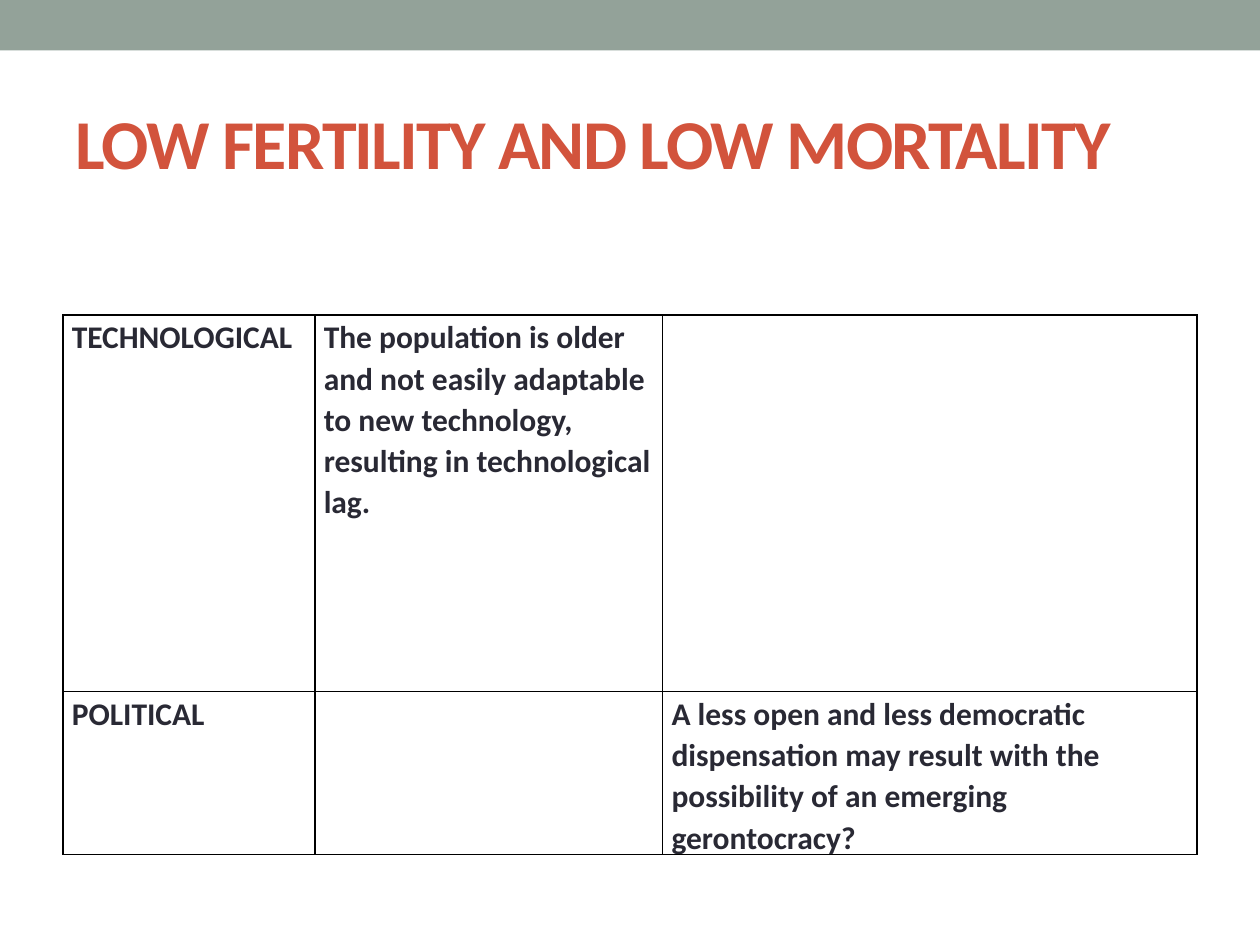
from lxml import etree
from pptx import Presentation
from pptx.dml.color import RGBColor
from pptx.enum.shapes import MSO_SHAPE as Shape
from pptx.enum.text import MSO_ANCHOR as Anchor
from pptx.oxml.ns import qn
from pptx.util import Inches, Pt

SAGE = RGBColor(0x93, 0xA2, 0x99)
RUST = RGBColor(0xD2, 0x53, 0x3C)
INK = RGBColor(0x29, 0x29, 0x34)
BORDER = "000000"

COLUMN_WIDTHS = [2, 2.76, 4.24]
ROW_HEIGHTS = [2.99, 1.01]
EFFECTS = [
    ["TECHNOLOGICAL",
     "The population is older and not easily adaptable to new technology, "
     "resulting in technological lag.", ""],
    ["POLITICAL", "",
     "A less open and less democratic dispensation may result with the "
     "possibility of an emerging gerontocracy?"],
]


def set_all(target, values):
    for attribute, value in values.items():
        setattr(target, attribute, value)


def style_font(font, size, color):
    set_all(font, {"name": "Calibri", "size": Pt(size), "bold": True})
    font.color.rgb = color


def add_band(slide, width):
    band = slide.shapes.add_shape(Shape.RECTANGLE, 0, 0, width, Inches(0.4))
    band.shadow.inherit = False
    band.fill.solid()
    band.fill.fore_color.rgb = SAGE
    band.line.fill.background()


def add_title(slide, text):
    title = slide.shapes.add_textbox(Inches(0.5), Inches(0.58), Inches(9), Inches(1.08))
    set_all(title.text_frame, {"word_wrap": True, "vertical_anchor": Anchor.MIDDLE})
    run = title.text_frame.paragraphs[0].add_run()
    run.text = text
    style_font(run.font, 40, RUST)
    # Tighten letter spacing by one point
    run.font._element.set("spc", "-100")


def add_borders(cell):
    properties = cell._tc.get_or_add_tcPr()
    for position, side in enumerate(("lnL", "lnR", "lnT", "lnB")):
        line = etree.Element(qn(f"a:{side}"), w=str(Pt(1)))
        fill = etree.SubElement(line, qn("a:solidFill"))
        etree.SubElement(fill, qn("a:srgbClr"), val=BORDER)
        properties.insert(position, line)


def fill_cell(cell, text):
    set_all(cell, {"margin_left": Inches(0.07), "margin_right": Inches(0.07),
                   "margin_top": Inches(0.01), "margin_bottom": 0})
    cell.fill.background()
    add_borders(cell)
    if text:
        paragraph = cell.text_frame.paragraphs[0]
        set_all(paragraph, {"line_spacing": 1.07, "space_after": Pt(8)})
        run = paragraph.add_run()
        run.text = text
        style_font(run.font, 18, INK)


def add_effects_table(slide):
    table = slide.shapes.add_table(
        len(ROW_HEIGHTS), len(COLUMN_WIDTHS), Inches(0.5), Inches(2.5),
        Inches(sum(COLUMN_WIDTHS)), Inches(sum(ROW_HEIGHTS))).table
    set_all(table, {"first_row": False, "horz_banding": False})
    for column, width in zip(table.columns, COLUMN_WIDTHS):
        column.width = Inches(width)
    for row, height, texts in zip(table.rows, ROW_HEIGHTS, EFFECTS):
        row.height = Inches(height)
        for cell, text in zip(row.cells, texts):
            fill_cell(cell, text)


def main():
    deck = Presentation()
    set_all(deck, {"slide_width": Inches(10), "slide_height": Inches(7.5)})
    slide = deck.slides.add_slide(deck.slide_layouts[6])

    # Header
    add_band(slide, deck.slide_width)
    add_title(slide, "LOW FERTILITY AND LOW MORTALITY")

    # Effects by field
    add_effects_table(slide)

    deck.save("out.pptx")


if __name__ == "__main__":
    main()
